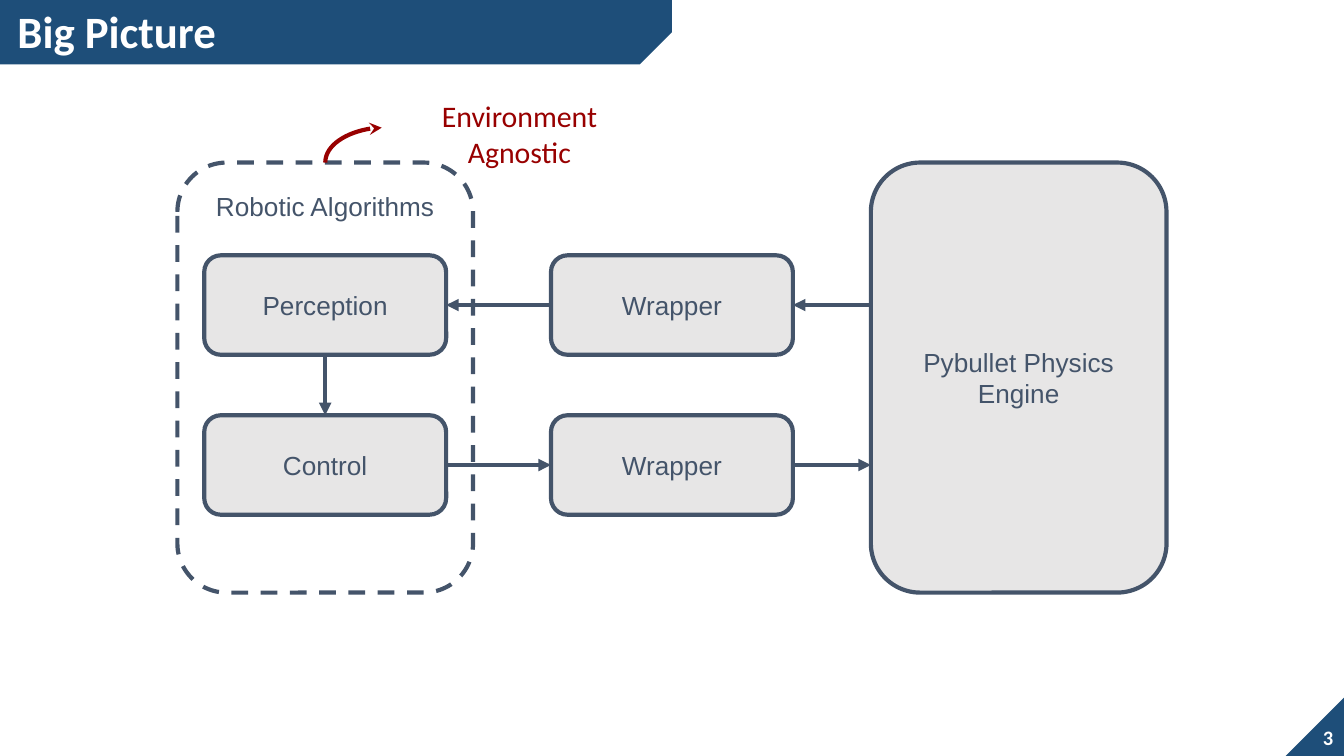
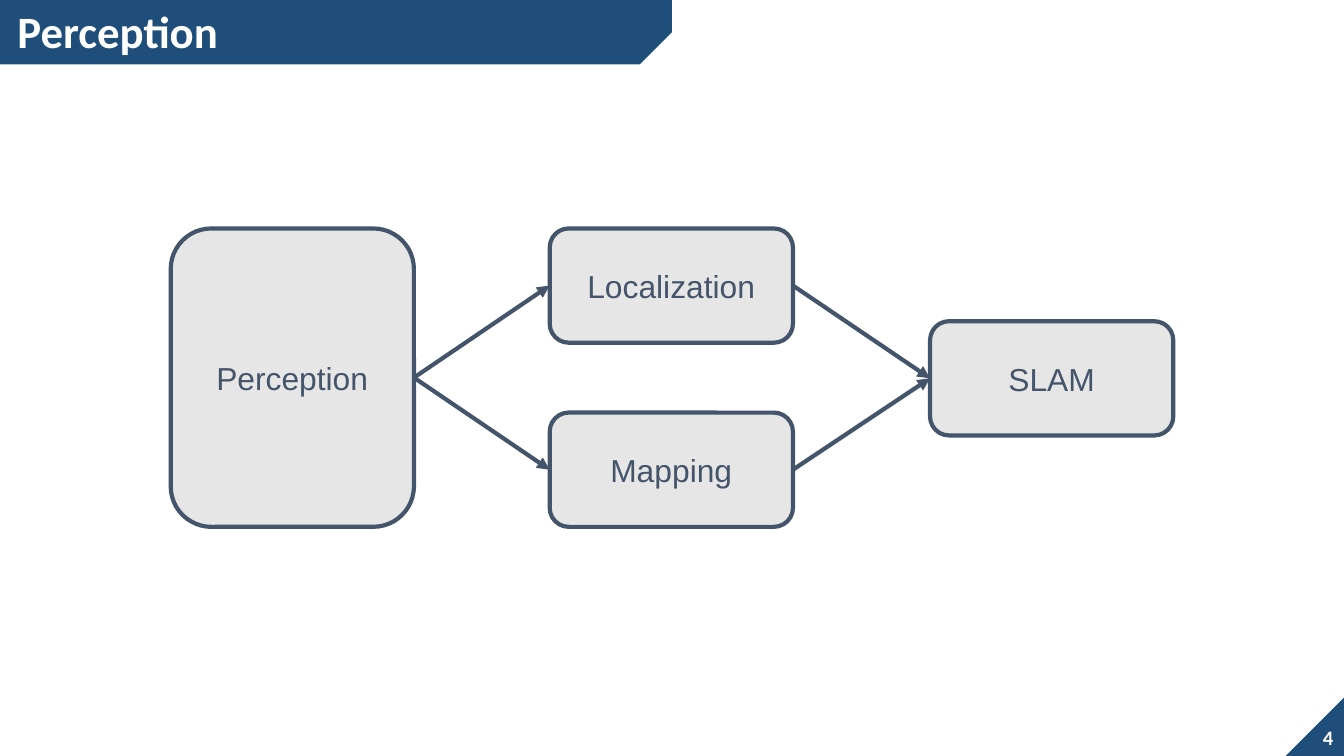
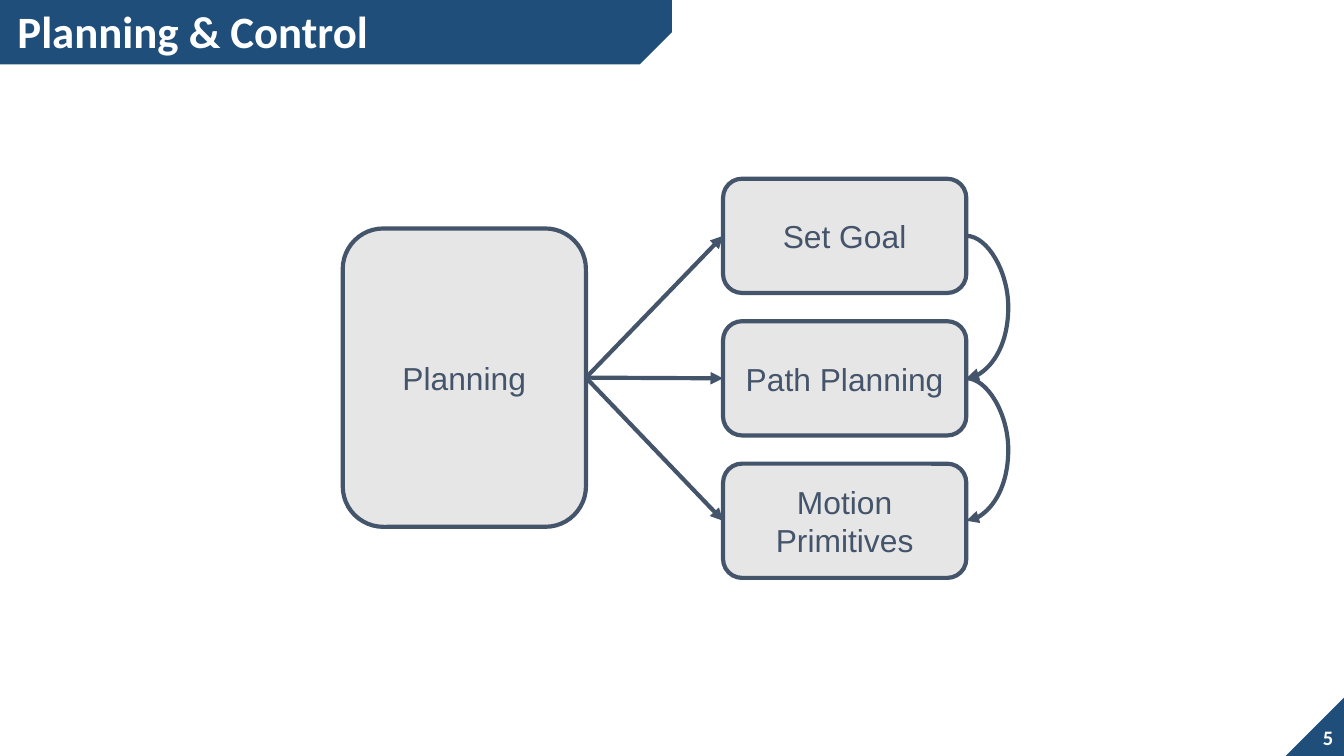
from lxml.etree import SubElement
from pptx import Presentation
from pptx.dml.color import RGBColor
from pptx.enum.dml import MSO_LINE
from pptx.enum.shapes import MSO_CONNECTOR, MSO_SHAPE
from pptx.enum.text import MSO_ANCHOR, PP_ALIGN
from pptx.oxml.ns import qn
from pptx.util import Inches, Pt

HUES = {"band": "1E4E79", "ink": "44546A", "box": "E7E6E6", "white": "FFFFFF", "note": "980000"}
SIDES = {"top": 0, "left": 1, "bottom": 2, "right": 3}
FIRST = 3
SNUG = (0.07, 0.04)
ROOMY = (0.1, 0.1)

SMALL = (1.8, 0.74)
LARGE = (2.2, 3.2)
STEP = (1.81, 0.85)
STAGE = (1.81, 2.22)
ROWS = (1.9, 3.09)
IN_Y, OUT_Y = [top + SMALL[1] / 2 for top in ROWS]
ENGINE_X = 6.48
FAN_X, FAN_Y, FAN_GAP = 5.38, 1.33, 1.06

STEPS = ["Set Goal", "Path Planning", "Motion Primitives"]

SLIDES = [
    {
        "title": "Big Picture",
        "size": 14,
        "boxes": [
            ("engine", "Pybullet Physics Engine", ENGINE_X, 1.21, LARGE),
            ("robot", "Robotic Algorithms", 1.32, 1.21, LARGE),
            ("sense", "Perception", 1.52, ROWS[0], SMALL),
            ("control", "Control", 1.52, ROWS[1], SMALL),
            ("input", "Wrapper", 4.1, ROWS[0], SMALL),
            ("output", "Wrapper", 4.1, ROWS[1], SMALL),
        ],
        "frames": ["robot"],
        "links": [
            (("control", "right"), ("output", "left")),
            (("output", "right"), (ENGINE_X, OUT_Y)),
            ((ENGINE_X, IN_Y), ("input", "right")),
            (("input", "left"), ("sense", "right")),
            (("sense", "bottom"), ("control", "top")),
        ],
        "note": "Environment Agnostic",
    },
    {
        "title": "Perception",
        "size": 17,
        "boxes": [
            ("sense", "Perception", 1.27, 1.7, STAGE),
            ("local", "Localization", 4.09, 1.7, STEP),
            ("map", "Mapping", 4.09, 3.07, STEP),
            ("slam", "SLAM", 6.92, 2.39, STEP),
        ],
        "links": [
            (("sense", "right"), ("local", "left")),
            (("sense", "right"), ("map", "left")),
            (("local", "right"), ("slam", "left")),
            (("map", "right"), ("slam", "left")),
        ],
    },
    {
        "title": "Planning & Control",
        "size": 17,
        "boxes": [("plan", "Planning", 2.55, 1.7, STAGE)]
        + [(step, step, FAN_X, FAN_Y + i * FAN_GAP, STEP) for i, step in enumerate(STEPS)],
        "links": [(("plan", "right"), (step, "left")) for step in STEPS],
        "bends": [((a, "right"), (b, "right")) for a, b in zip(STEPS, STEPS[1:])],
    },
]


def hue(name):
    return RGBColor.from_string(HUES[name])


def write(shape, text, size, font, ink, align, anchor, pad, bold=False):
    frame = shape.text_frame
    frame.word_wrap = True
    frame.vertical_anchor = anchor
    frame.margin_left = frame.margin_right = Inches(pad[0])
    frame.margin_top = frame.margin_bottom = Inches(pad[1])
    para = frame.paragraphs[0]
    para.alignment = align
    run = para.add_run()
    run.text = text
    run.font.size = Pt(size)
    run.font.name = font
    run.font.bold = bold
    run.font.color.rgb = hue(ink)
    return para


def draw(slide, kind, x, y, w, h, fill):
    shape = slide.shapes.add_shape(kind, Inches(x), Inches(y), Inches(w), Inches(h))
    shape.shadow.inherit = False
    shape.fill.solid()
    shape.fill.fore_color.rgb = hue(fill)
    shape.line.fill.background()
    return shape


def label(slide, x, y, w, h):
    return slide.shapes.add_textbox(Inches(x), Inches(y), Inches(w), Inches(h))


def dress(slide, text, page):
    band = draw(slide, MSO_SHAPE.SNIP_1_RECTANGLE, 0, 0, 5, 0.48, "band")
    band.adjustments[0] = 0.5
    band.rotation = 180
    band._element.spPr.xfrm.set("flipH", "1")
    title = slide.shapes.title
    title.left, title.top, title.width, title.height = map(Inches, (0.06, 0.06, 4.7, 0.38))
    para = write(title, text, 24, "Calibri", "white", PP_ALIGN.LEFT, MSO_ANCHOR.MIDDLE, SNUG, True)
    para.line_spacing = 0.9
    slide.shapes._spTree.append(title._element)
    draw(slide, MSO_SHAPE.RIGHT_TRIANGLE, 9.55, 5.19, 0.45, 0.45, "band").rotation = 270
    write(label(slide, 9.66, 5.33, 0.33, 0.31), str(page), 11, "Calibri", "white",
          PP_ALIGN.RIGHT, MSO_ANCHOR.MIDDLE, SNUG, True)


def add_box(slide, text, x, y, dims, size, framed):
    box = draw(slide, MSO_SHAPE.ROUNDED_RECTANGLE, x, y, *dims, "white" if framed else "box")
    box.line.color.rgb = hue("ink")
    box.line.width = Pt(2.25)
    if framed:
        box.line.dash_style = MSO_LINE.DASH
    write(box, text, size, "Arial", "ink", PP_ALIGN.CENTER,
          MSO_ANCHOR.TOP if framed else MSO_ANCHOR.MIDDLE, ROOMY)
    return box


def arrow(slide, kind, ends, ink="ink", head="triangle"):
    line = slide.shapes.add_connector(kind, *map(Inches, ends))
    line.line.color.rgb = hue(ink)
    line.line.width = Pt(2.25)
    SubElement(line.line._get_or_add_ln(), qn("a:tailEnd"), type=head)
    SubElement(line._element.spPr, qn("a:effectLst"))
    return line


def link(slide, boxes, start, end, kind=MSO_CONNECTOR.STRAIGHT):
    spots = [(0, 0) if spot[0] in boxes else spot for spot in (start, end)]
    line = arrow(slide, kind, spots[0] + spots[1])
    for spot, join in ((end, line.end_connect), (start, line.begin_connect)):
        if spot[0] in boxes:
            join(boxes[spot[0]], SIDES[spot[1]])
    return line


def bend(slide, boxes, start, end):
    line = link(slide, boxes, start, end, MSO_CONNECTOR.CURVE)
    line.width = Pt(0.05)
    guides = line._element.spPr.prstGeom.get_or_add_avLst()
    SubElement(guides, qn("a:gd"), name="adj1", fmla="val 39687500")


def add_note(slide, text):
    write(label(slide, 2.84, 0.63, 2.05, 0.66), text, 16, "Calibri", "note",
          PP_ALIGN.CENTER, MSO_ANCHOR.TOP, ROOMY)
    curve = arrow(slide, MSO_CONNECTOR.CURVE, (2.5, 0.87, 2.76, 1.29), "note", "stealth")
    shape = curve._element.spPr
    shape.xfrm.set("rot", str(270 * 60000))
    shape.prstGeom.set("prst", "curvedConnector2")


def main():
    deck = Presentation()
    deck.slide_width = Inches(10)
    deck.slide_height = deck.slide_width * 9 // 16
    for page, data in enumerate(SLIDES, FIRST):
        slide = deck.slides.add_slide(deck.slide_layouts[5])
        dress(slide, data["title"], page)
        boxes = {}
        for key, text, x, y, dims in data["boxes"]:
            framed = key in data.get("frames", [])
            boxes[key] = add_box(slide, text, x, y, dims, data["size"], framed)
        for start, end in data["links"]:
            link(slide, boxes, start, end)
        for start, end in data.get("bends", []):
            bend(slide, boxes, start, end)
        if "note" in data:
            add_note(slide, data["note"])
    deck.save("out.pptx")


if __name__ == "__main__":
    main()
